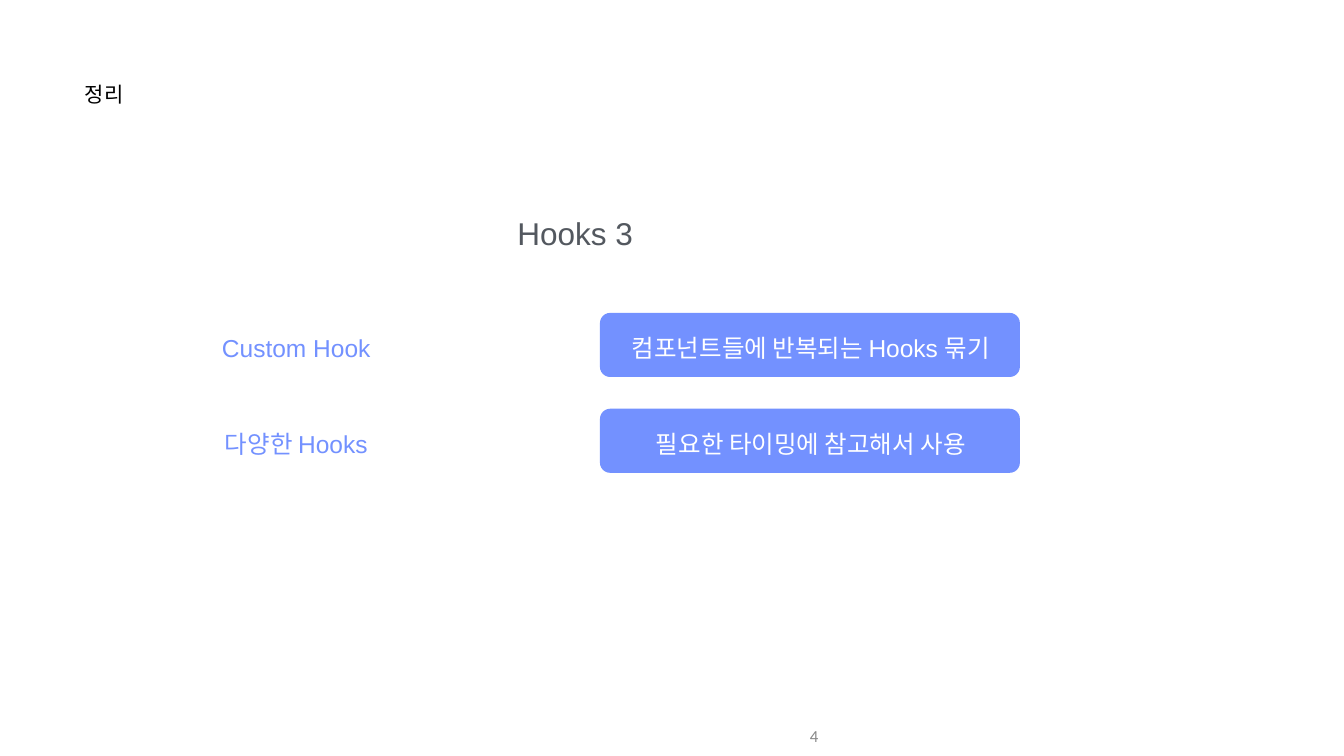
"""Build the summary slide on Hooks."""
from pptx import Presentation
from pptx.dml.color import RGBColor
from pptx.enum.shapes import MSO_SHAPE
from pptx.enum.text import MSO_ANCHOR, PP_ALIGN
from pptx.util import Cm, Pt

TITLE = "정리"
SUBTITLE = "Hooks 3"
PAGE = "4"
ROWS = [
    ("Custom Hook", "컴포넌트들에 반복되는 Hooks 묶기"),
    ("다양한 Hooks", "필요한 타이밍에 참고해서 사용"),
]

COLORS = {
    "title": "000000",
    "subtitle": "53585F",
    "page": "888888",
    "accent": "7391FF",
    "on_accent": "FFFFFF",
}

ROW_TOP, ROW_STEP = 15.77, 4.83
CARD_LEFT, CARD_W, CARD_H = 30.23, 21.16, 3.23
LABEL_LEFT, LABEL_W = 6.99, 15.88
TEXT_DX, TEXT_DY, TEXT_H = 0.05, 0.97, 1.57


def rgb(name):
    return RGBColor.from_string(COLORS[name])


def add_text(slide, text, box, size, color, align=PP_ALIGN.CENTER,
             anchor=MSO_ANCHOR.MIDDLE, font="Arial", inset=(0.03, 0.03)):
    tf = slide.shapes.add_textbox(*map(Cm, box)).text_frame
    tf.word_wrap = True
    tf.vertical_anchor = anchor
    tf.margin_left = tf.margin_right = Cm(inset[0])
    tf.margin_top = tf.margin_bottom = Cm(inset[1])
    p = tf.paragraphs[0]
    p.alignment = align
    r = p.add_run()
    r.text = text
    r.font.name = font
    r.font.size = Pt(size)
    r.font.color.rgb = rgb(color)


def add_card(slide, top):
    sp = slide.shapes.add_shape(MSO_SHAPE.ROUNDED_RECTANGLE,
                                *map(Cm, (CARD_LEFT, top, CARD_W, CARD_H)))
    sp.adjustments[0] = 0.16
    sp.shadow.inherit = False
    sp.fill.solid()
    sp.fill.fore_color.rgb = rgb("accent")
    sp.line.fill.background()


def main():
    prs = Presentation()
    prs.slide_width, prs.slide_height = Cm(67.72), Cm(38.1)
    slide = prs.slides.add_slide(prs.slide_layouts[6])

    add_text(slide, TITLE, (4.24, 4.06, 12.34, 3), 30, "title",
             PP_ALIGN.LEFT, MSO_ANCHOR.TOP)
    add_text(slide, SUBTITLE, (6.71, 10.77, 44.55, 2), 45, "subtitle",
             anchor=MSO_ANCHOR.TOP)
    add_text(slide, PAGE, (26.24, 36.09, 15.24, 2), 24, "page",
             PP_ALIGN.RIGHT, font="Calibri", inset=(0.25, 0.13))

    for i, (label, summary) in enumerate(ROWS):
        top = ROW_TOP + i * ROW_STEP
        text_top = top + TEXT_DY
        add_card(slide, top)
        add_text(slide, label, (LABEL_LEFT, text_top, LABEL_W, TEXT_H),
                 35, "accent")
        add_text(slide, summary,
                 (CARD_LEFT + TEXT_DX, text_top, CARD_W, TEXT_H),
                 35, "on_accent")

    prs.save("out.pptx")


if __name__ == "__main__":
    main()
